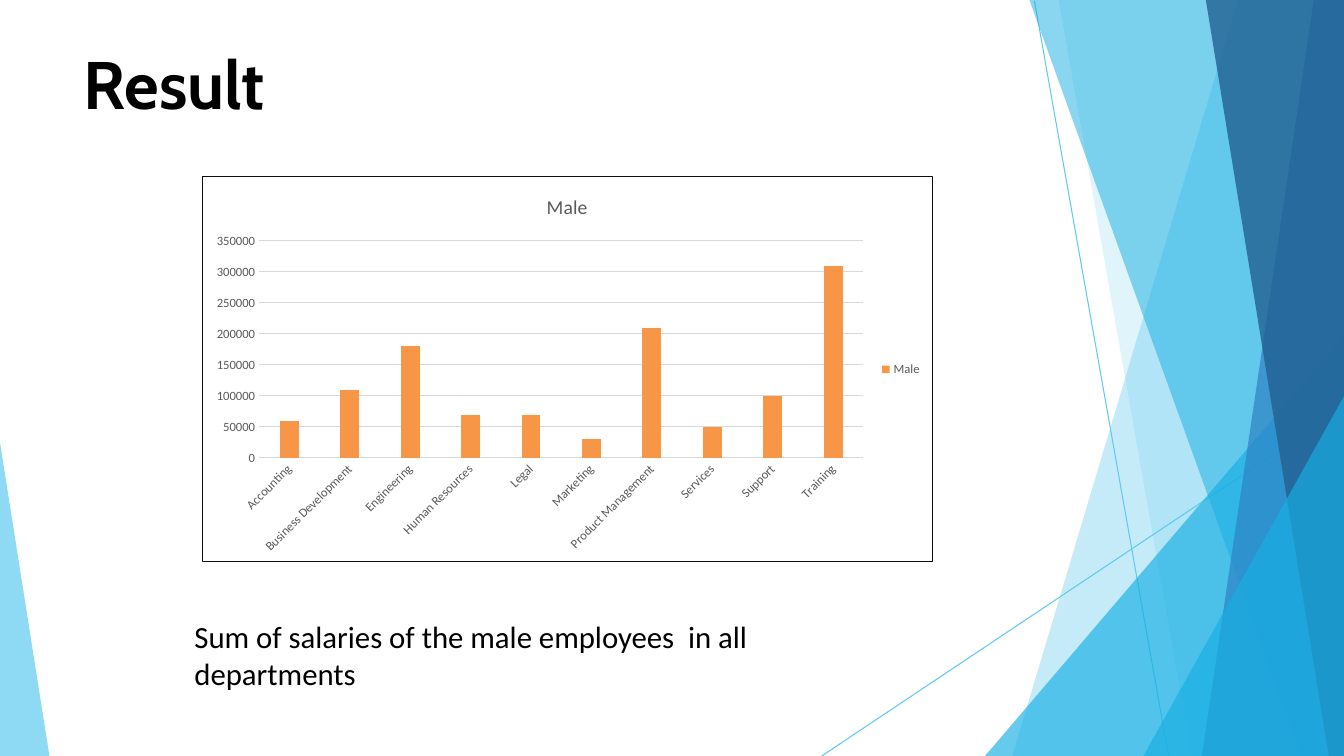
from lxml import etree
from pptx import Presentation
from pptx import util as u
from pptx.chart import data
from pptx.dml import color
from pptx.enum import chart as charts, shapes, text
from pptx.oxml import ns, parse_xml

WIDTH, HEIGHT = 13.33, 7.5
COLORS = {
    "sky": "5FCAEE", "azure": "17AFE3", "blue": "2D83C3", "navy": "226192",
    "black": "000000", "gray": "595959", "grid": "D9D9D9",
    "border": "0D0D0D", "white": "FFFFFF", "bar": "F79646",
}
TITLE = "Result"
CAPTION = "Sum of salaries of the male employees  in all departments"
SERIES = "Male"
SALARIES = {
    "Accounting": 60000, "Business Development": 110000,
    "Engineering": 180000, "Human Resources": 70000, "Legal": 70000,
    "Marketing": 30000, "Product Management": 210000, "Services": 50000,
    "Support": 100000, "Training": 310000,
}
TITLE_BOX = (0.83, 0.42, 11.68, 0.88)
CHART_BOX = (2, 1.75, 7.25, 3.83)
CAPTION_BOX = (1.83, 6.08, 7.25, 0.91)
RAYS = [(10.26, 0.01, 11.59, HEIGHT), (WIDTH, 4.04, 8.15, HEIGHT)]


def band(top, bottom):
    return [(WIDTH, 0), (top, 0), (bottom, HEIGHT), (WIDTH, HEIGHT)]


def wedge(edge, top, foot):
    return [(edge, top), (foot, HEIGHT), (edge, HEIGHT)]


FACETS = [
    (band(12.28, 10.04), "sky", 36),
    (band(10.5, 11.82), "sky", 20),
    (wedge(WIDTH, 3.33, 9.77), "azure", 66),
    (band(10.21, 12.91), "azure", 50),
    (band(13.03, 11.92), "blue", 70),
    (band(11.96, 13.18), "navy", 80),
    (wedge(WIDTH, 3.93, 11.34), "azure", 66),
    (wedge(0, 4.39, 0.49), "sky", 70),
]


def rgb(name):
    return color.RGBColor.from_string(COLORS[name])


def inches(values):
    return [u.Inches(value) for value in values]


def style_font(font, size, name="Calibri", ink="gray", bold=False):
    font.size, font.name, font.bold = u.Pt(size), name, bold
    font.color.rgb = rgb(ink)


def add_ray(slide, ends):
    ray = slide.shapes.add_connector(shapes.MSO_CONNECTOR.STRAIGHT, *inches(ends))
    ray.line.color.rgb = rgb("sky")
    ray.line.width = u.Pt(0.75)
    etree.SubElement(ray._element.spPr, ns.qn("a:effectLst"))


def add_facet(slide, points, fill, opacity):
    (x, y), *rest = [(round(x * 100), round(y * 100)) for x, y in points]
    builder = slide.shapes.build_freeform(x, y, scale=u.Inches(0.01))
    builder.add_line_segments(rest, close=True)
    facet = builder.convert_to_shape()
    facet.shadow.inherit = False
    facet.line.fill.background()
    facet.fill.solid()
    facet.fill.fore_color.rgb = rgb(fill)
    tint = facet._element.spPr.find(".//" + ns.qn("a:srgbClr"))
    etree.SubElement(tint, ns.qn("a:alpha"), val=str(opacity * 1000))


def add_words(frame, words, **font):
    run = frame.paragraphs[0].add_run()
    run.text = words
    style_font(run.font, **font)


def add_title(slide):
    title = slide.shapes.title
    title.left, title.top, title.width, title.height = inches(TITLE_BOX)
    frame = title.text_frame
    frame.margin_left = frame.margin_top = frame.margin_right = frame.margin_bottom = 0
    frame.vertical_anchor = text.MSO_ANCHOR.TOP
    frame.paragraphs[0].alignment = text.PP_ALIGN.LEFT
    add_words(frame, TITLE, size=48, name="Cabin", ink="black", bold=True)
    slide.shapes._spTree.append(title._element)


def add_salary_chart(slide):
    salaries = data.CategoryChartData()
    salaries.categories = list(SALARIES)
    salaries.add_series(SERIES, list(SALARIES.values()))
    chart = slide.shapes.add_chart(
        charts.XL_CHART_TYPE.COLUMN_CLUSTERED, *inches(CHART_BOX), salaries).chart
    style_font(chart.font, 10, ink="black")
    chart.has_title = True
    add_words(chart.chart_title.text_frame, SERIES, size=14)
    chart.chart_title.include_in_layout = False
    chart.has_legend = True
    chart.legend.position = charts.XL_LEGEND_POSITION.RIGHT
    chart.legend.include_in_layout = False
    style_font(chart.legend.font, 9)

    plot = chart.plots[0]
    plot.gap_width, plot.overlap, plot.vary_by_categories = 219, -27, False
    bars = plot.series[0].format.fill
    bars.solid()
    bars.fore_color.rgb = rgb("bar")

    departments, amounts = chart.category_axis, chart.value_axis
    for axis in (departments, amounts):
        axis.major_tick_mark = axis.minor_tick_mark = charts.XL_TICK_MARK.NONE
        style_font(axis.tick_labels.font, 9)
    amounts.minimum_scale, amounts.maximum_scale = 0, 350000
    amounts.major_unit = 50000
    amounts.format.line.fill.background()
    for line in (departments.format.line, amounts.major_gridlines.format.line):
        line.color.rgb = rgb("grid")
        line.width = u.Pt(0.75)
    label_body = departments._element.find(ns.qn("c:txPr")).find(ns.qn("a:bodyPr"))
    label_body.set("rot", str(-45 * 60000))
    label_body.set("vert", "horz")

    frame = parse_xml(
        f'<c:spPr {ns.nsdecls("c", "a")}>'
        f'<a:solidFill><a:srgbClr val="{COLORS["white"]}"/></a:solidFill>'
        f'<a:ln w="{u.Pt(0.75)}"><a:solidFill>'
        f'<a:srgbClr val="{COLORS["border"]}"/></a:solidFill></a:ln></c:spPr>')
    chart._chartSpace.find(ns.qn("c:chart")).addnext(frame)


def add_caption(slide):
    frame = slide.shapes.add_textbox(*inches(CAPTION_BOX)).text_frame
    frame.word_wrap = True
    add_words(frame, CAPTION, size=22, ink="black")


def main():
    presentation = Presentation()
    presentation.slide_width, presentation.slide_height = inches((WIDTH, HEIGHT))
    slide = presentation.slides.add_slide(presentation.slide_layouts[5])
    for ends in RAYS:
        add_ray(slide, ends)
    for facet in FACETS:
        add_facet(slide, *facet)
    add_title(slide)
    add_salary_chart(slide)
    add_caption(slide)
    presentation.save("out.pptx")


if __name__ == "__main__":
    main()
